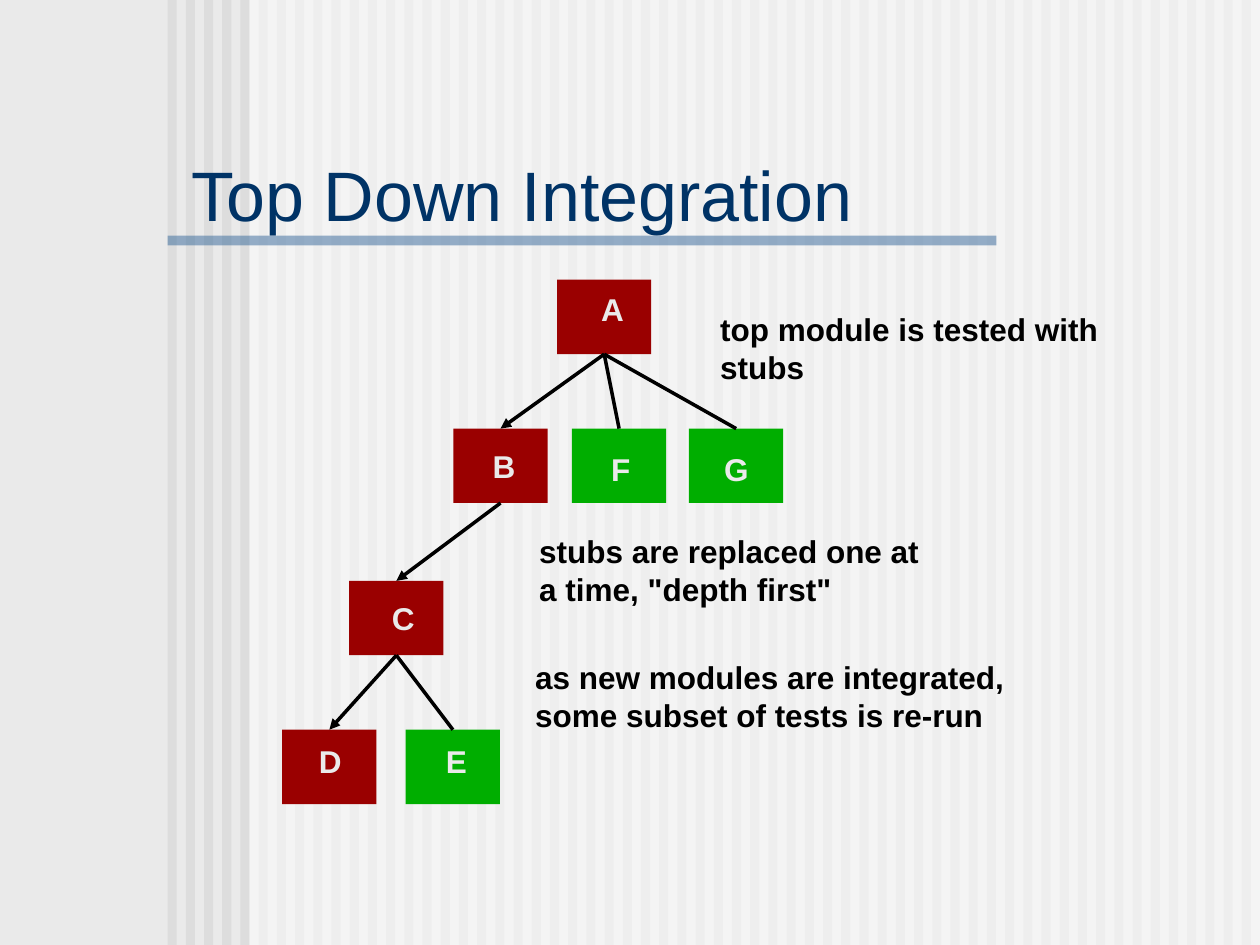
from lxml.etree import SubElement
from pptx import Presentation
from pptx.dml.color import RGBColor
from pptx.enum.shapes import MSO_CONNECTOR as LINK, MSO_SHAPE as SHAPE
from pptx.enum.text import MSO_ANCHOR as ANCHOR, MSO_AUTO_SIZE as FIT, PP_ALIGN as ALIGN
from pptx.oxml.ns import qn
from pptx.util import Cm, Pt

WIDE, HIGH = 25.4, 19.05
RED, GREEN = "9A0000", "00AE00"
MODULES = {
    "A": (5.54, 0, RED, 0.89, 0.2),
    "B": (3.45, 3, RED, 0.79, 0.38),
    "C": (1.35, 6.07, RED, 0.86, 0.36),
    "D": (0, 9.07, RED, 0.74, 0.25),
    "E": (2.49, 9.07, GREEN, 0.81, 0.25),
    "F": (5.84, 3, GREEN, 0.79, 0.43),
    "G": (8.2, 3, GREEN, 0.71, 0.43),
}
CALLS = ["AB", "AF", "AG", "BC", "CD", "CE"]
NOTES = [
    (3.73, 0, "top module is tested with\vstubs"),
    (0.08, 4.47, "stubs are replaced one at\va time, \"depth first\""),
    (0, 7.01, "as new modules are integrated,\vsome subset of tests is re-run"),
]


def paint(fill, tone, alpha=None):
    """Give a fill a solid colour, with an opacity in percent if asked."""
    fill.solid()
    fill.fore_color.rgb = RGBColor.from_string(tone)
    if alpha is not None:
        node = fill.fore_color._xFill.find(qn("a:srgbClr"))
        SubElement(node, qn("a:alpha")).set("val", str(alpha * 1000))


def write(frame, text, size=18, tone="000000", bold=True, anchor=ANCHOR.TOP,
          left=0.25, top=0.13, wrap=True):
    """Put formatted text into a text frame."""
    frame.auto_size, frame.word_wrap = FIT.NONE, wrap
    frame.vertical_anchor = anchor
    frame.margin_left, frame.margin_top = Cm(left), Cm(top)
    frame.margin_right, frame.margin_bottom = Cm(0.25), Cm(0.13)
    para = frame.paragraphs[0]
    para.text, para.alignment = text, ALIGN.LEFT
    for run in para.runs:
        font = run.font
        font.name, font.size, font.bold = "Arial", Pt(size), bold
        font.color.rgb = RGBColor.from_string(tone)


def block(shapes, x, y, w, h, tone, alpha=None):
    """Add a plain filled rectangle."""
    rect = shapes.add_shape(SHAPE.RECTANGLE, Cm(x), Cm(y), Cm(w), Cm(h))
    rect.shadow.inherit = False
    rect.line.fill.background()
    paint(rect.fill, tone, alpha)
    return rect


def link(shapes, start, end, arrow):
    """Join the bottom of one module to the top of another."""
    line = shapes.add_connector(LINK.STRAIGHT, 0, 0, 0, 0)
    line.begin_connect(start, 2)
    line.end_connect(end, 0)
    line.line.width = Pt(2)
    paint(line.line.fill, "000000")
    if arrow:
        SubElement(line.line._get_or_add_ln(), qn("a:tailEnd")).set("type", "triangle")
    SubElement(line._element.spPr, qn("a:effectLst"))


def backdrop(slide, x, y, w, h, count=60):
    """Draw the striped field, its pale veil and the title rule."""
    paint(slide.background.fill, "EAEAEA")
    shapes = slide.shapes.add_group_shape().shapes
    step = w / count
    for i in range(count):
        block(shapes, x + i * step, y, step / 2, h, "DDDDDD")
    block(shapes, x + 1.65, y, w - 1.65, h, "FFFFFF", 50)
    block(shapes, x, y + 4.75, 16.71, 0.2, "336699", 50)


def heading(slide, x, y, w, h, text):
    """Place and format the title in front of the backdrop."""
    title = slide.shapes.title
    title.left, title.top, title.width, title.height = Cm(x), Cm(y), Cm(w), Cm(h)
    write(title.text_frame, text, size=40, tone="003366", bold=False, anchor=ANCHOR.MIDDLE)
    slide.shapes._spTree.append(title._element)


def tree(slide, x, y):
    """Draw the modules and the calls between them."""
    nodes = {}
    for name, (dx, dy, tone, left, top) in MODULES.items():
        nodes[name] = block(slide.shapes, x + dx, y + dy, 1.9, 1.5, tone)
        write(nodes[name].text_frame, name, tone="EAEAEA", left=left, top=top, wrap=False)
    for start, end in CALLS:
        link(slide.shapes, nodes[start], nodes[end], MODULES[end][2] == RED)


def notes(slide, x, y, w):
    """Write the remarks beside the tree."""
    for dx, dy, text in NOTES:
        box = slide.shapes.add_textbox(Cm(x + dx), Cm(y + dy), Cm(w), Cm(1.73))
        write(box.text_frame, text)


def main():
    """Build and save the slide."""
    deck = Presentation()
    deck.slide_width, deck.slide_height = Cm(WIDE), Cm(HIGH)
    slide = deck.slides.add_slide(deck.slide_layouts[5])
    backdrop(slide, 3.38, 0, WIDE - 3.38, HIGH)
    heading(slide, 3.61, 3.18, 14.71, 1.45, "Top Down Integration")
    tree(slide, 5.69, 5.64)
    notes(slide, 10.54, 6.12, 10.4)
    deck.save("out.pptx")


if __name__ == "__main__":
    main()
